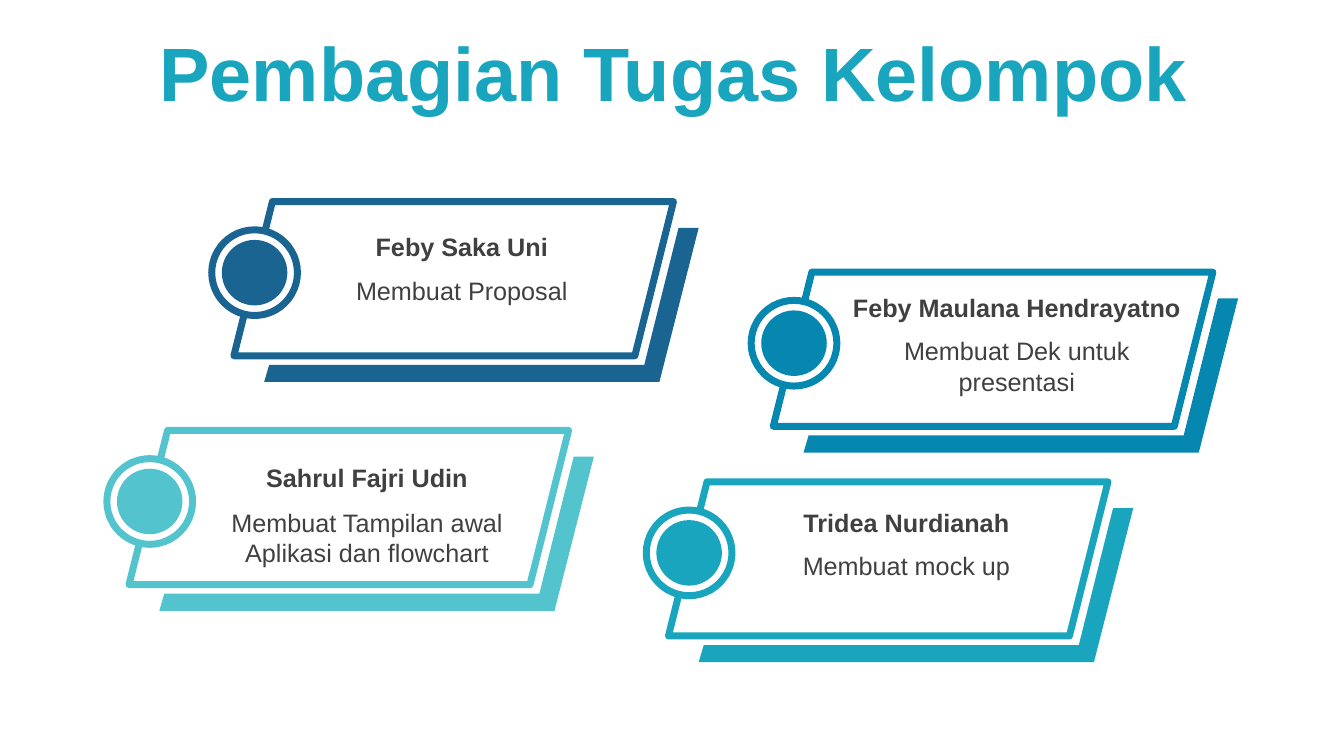
from pptx import Presentation
from pptx.dml.color import RGBColor
from pptx.enum.shapes import MSO_SHAPE
from pptx.enum.text import MSO_ANCHOR, PP_ALIGN
from pptx.util import Emu, Pt

PX = 9144
FONT = "Arial"
PARALLELOGRAM, OVAL = MSO_SHAPE.PARALLELOGRAM, MSO_SHAPE.OVAL
TOP, MIDDLE = MSO_ANCHOR.TOP, MSO_ANCHOR.MIDDLE
CENTER = PP_ALIGN.CENTER

COLORS = {
    "white": "FFFFFF",
    "text": "404040",
    "title": "19A5BE",
    "navy": "196491",
    "aqua": "53C3CD",
    "blue": "0587AF",
    "teal": "19A5BE",
}

CARD_W, CARD_H = 436, 153
EDGE = [(441, 26), (461, 26), (422, 179), (30, 179), (35, 162), (407, 162)]

CARDS = [
    (232, 200, "navy", "Feby Saka Uni", (72, 24, 308, 40),
     "Membuat Proposal", (72, 68, 308, 57)),
    (128, 427, "aqua", "Sahrul Fajri Udin", (82, 27, 308, 40),
     "Membuat Tampilan awal Aplikasi dan flowchart", (82, 71, 308, 71)),
    (767, 270, "blue", "Feby Maulana Hendrayatno", (63, -1, 357, 71),
     "Membuat Dek untuk presentasi", (63, 58, 357, 71)),
    (663, 478, "teal", "Tridea Nurdianah", (82, 20, 308, 40),
     "Membuat mock up", (82, 63, 308, 40)),
]


def px(length):
    """Turn px into EMU."""
    return Emu(length * PX)


def rgb(color):
    """Look up a named colour."""
    return RGBColor.from_string(COLORS[color])


def paint(shape, fill, line=None):
    """Set a flat fill and an optional thick outline."""
    shape.shadow.inherit = False
    shape.fill.solid()
    shape.fill.fore_color.rgb = rgb(fill)
    if line:
        shape.line.color.rgb = rgb(line)
        shape.line.width = Pt(5)
    else:
        shape.line.fill.background()


def add_preset(slide, preset, box, fill, line=None):
    """Place a painted preset shape in a px box."""
    paint(slide.shapes.add_shape(preset, *map(px, box)), fill, line)


def add_label(slide, box, text, size, color, bold=False, anchor=TOP):
    """Place one centred paragraph in a px box and return it."""
    frame = slide.shapes.add_textbox(*map(px, box)).text_frame
    frame.word_wrap = True
    frame.vertical_anchor = anchor
    paragraph = frame.paragraphs[0]
    paragraph.alignment = CENTER
    run = paragraph.add_run()
    run.text = text
    run.font.name = FONT
    run.font.size = Pt(size)
    run.font.bold = bold
    run.font.color.rgb = rgb(color)
    return paragraph


def add_title(slide, box):
    """Write the slide title."""
    title = add_label(slide, box, "Pembagian Tugas Kelompok", 54, "title", True, MIDDLE)
    title.line_spacing = 0.9
    title.space_before = Pt(10)


def add_card(slide, left, top, color, name, name_box, task, task_box):
    """Draw one member's slanted card with its edge, badge, name and task."""
    def inside(x, y, width, height):
        """Shift a box from the card's corner to the slide."""
        return left + x, top + y, width, height

    add_preset(slide, PARALLELOGRAM, inside(0, 0, CARD_W, CARD_H), "white", color)
    corners = [(left + x, top + y) for x, y in EDGE]
    outline = slide.shapes.build_freeform(*corners[0], scale=PX)
    outline.add_line_segments(corners[1:], close=True)
    paint(outline.convert_to_shape(), color)
    add_preset(slide, OVAL, inside(-22, 28, 85, 85), "white", color)
    add_preset(slide, OVAL, inside(-12, 38, 65, 65), color)
    add_label(slide, inside(*task_box), task, 18, "text")
    add_label(slide, inside(*name_box), name, 18, "text", True, MIDDLE)


def main():
    """Build and save the slide."""
    deck = Presentation()
    deck.slide_width, deck.slide_height = px(1333), px(750)
    slide = deck.slides.add_slide(deck.slide_layouts[6])
    add_title(slide, (35, 37, 1266, 79))
    for card in CARDS:
        add_card(slide, *card)
    deck.save("out.pptx")


if __name__ == "__main__":
    main()
